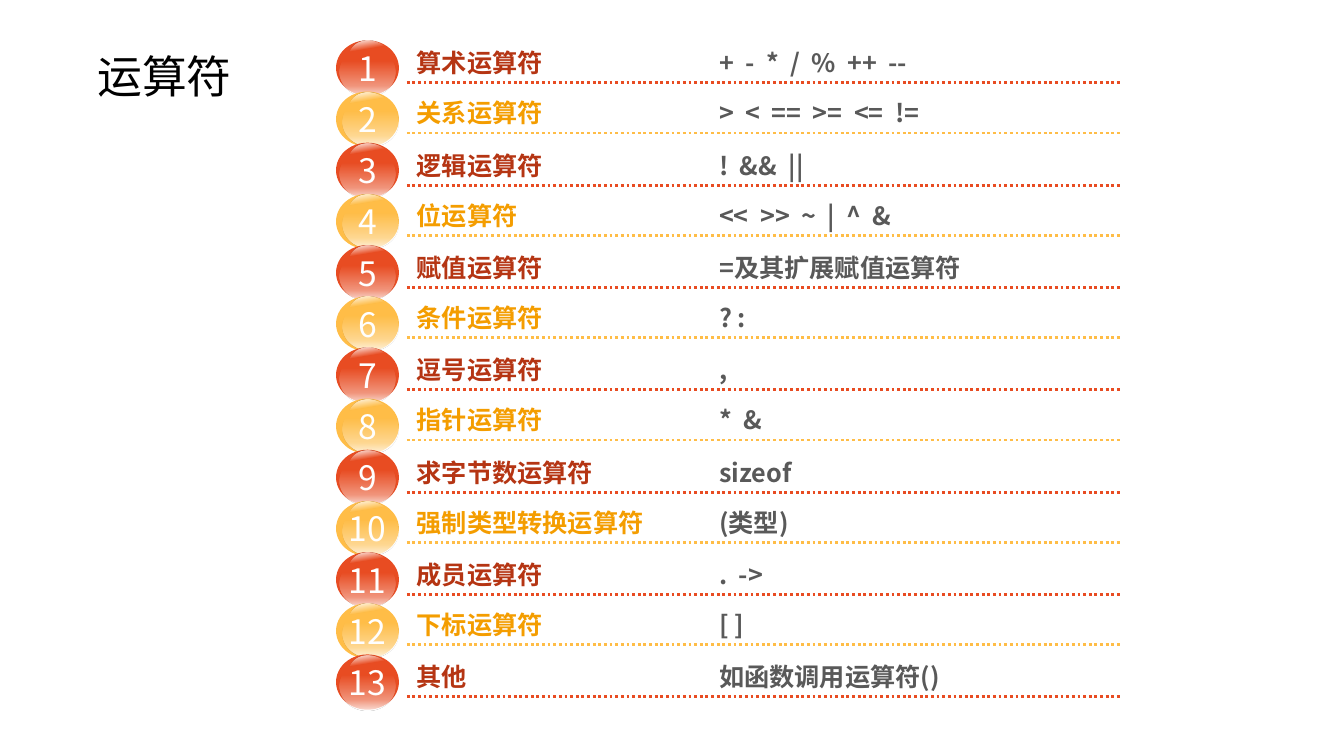
from lxml import etree
from pptx import Presentation, util as u
from pptx.dml.color import RGBColor
from pptx.enum import dml, shapes, text
from pptx.oxml import parse_xml
from pptx.oxml.ns import nsdecls, qn

FONT = "Noto Sans CJK SC"
COLORS = {
    "title": "000000", "white": "FFFFFF", "symbols": "595959",
    "red": "E84C22", "red_text": "B53513",
    "gold": "FFBD47", "gold_text": "F49D00",
}
GRID_COLUMNS, GRID_ROWS = 40, 75
GLOSS_STOPS = [(0, 0), (16, 88), (30, 0)]
SHADE_STOPS = [(28, 0), (78, 41), (98, 79)]
OPERATORS = [
    ("算术运算符", "+  -  *  /  %  ++  --"),
    ("关系运算符", ">  <  ==  >=  <=  !="),
    ("逻辑运算符", "!  &&  ||"),
    ("位运算符", "<<  >>  ~  |  ^  &"),
    ("赋值运算符", "=及其扩展赋值运算符"),
    ("条件运算符", "? :"),
    ("逗号运算符", ","),
    ("指针运算符", "*  &"),
    ("求字节数运算符", "sizeof"),
    ("强制类型转换运算符", "(类型)"),
    ("成员运算符", ".  ->"),
    ("下标运算符", "[ ]"),
    ("其他", "如函数调用运算符()"),
]


def color(name):
    """Return the named colour."""
    return RGBColor.from_string(COLORS[name])


def inside(box, left, top, width, height):
    """Return the part of a box given by shares of its size."""
    x, y, w, h = box
    return (u.Emu(int(x + left * w)), u.Emu(int(y + top * h)),
            u.Emu(int(width * w)), u.Emu(int(height * h)))


def add_span(para, words, size, shade, bold=False):
    """Add one styled run to a paragraph."""
    span = para.add_run()
    span.text = words
    span.font.size = u.Pt(size)
    span.font.bold = bold
    span.font.name = FONT
    span.font.color.rgb = color(shade)
    etree.SubElement(span.font._element, qn("a:ea"), typeface=FONT)


def add_text(parent, box, anchor):
    """Add a wrapping text box and return its first paragraph."""
    frame = parent.add_textbox(*box).text_frame
    frame.word_wrap = True
    frame.vertical_anchor = anchor
    return frame.paragraphs[0]


def add_ellipse(parent, box):
    """Add an ellipse without outline or shadow."""
    ellipse = parent.add_shape(shapes.MSO_SHAPE.OVAL, *box)
    ellipse.shadow.inherit = False
    ellipse.line.fill.background()
    return ellipse


def add_glow(parent, box, stops, angle, rotation=0):
    """Add an ellipse of white light that fades by the given stops."""
    glow = add_ellipse(parent, box)
    glow.rotation = rotation
    glow.fill.background()
    marks = "".join(
        f'<a:gs pos="{place * 1000}"><a:srgbClr val="{COLORS["white"]}">'
        f'<a:alpha val="{alpha * 1000}"/></a:srgbClr></a:gs>'
        for place, alpha in stops)
    gradient = parse_xml(
        f'<a:gradFill {nsdecls("a")} rotWithShape="1"><a:gsLst>{marks}</a:gsLst>'
        f'<a:lin ang="{angle * 60000}" scaled="0"/></a:gradFill>')
    properties = glow._element.spPr
    properties.replace(properties.find(qn("a:noFill")), gradient)


def add_ball(parent, box, number, hue, shift):
    """Draw a glossy numbered ball at the left of a row."""
    ball = add_ellipse(parent, inside(box, 0, 0, 0.08, 1.08))
    ball.fill.solid()
    ball.fill.fore_color.rgb = color(hue)
    frame = ball.text_frame
    frame.margin_left = frame.margin_right = 0
    frame.word_wrap = False
    frame.vertical_anchor = text.MSO_ANCHOR.MIDDLE
    para = frame.paragraphs[0]
    para.alignment = text.PP_ALIGN.CENTER
    add_span(para, str(number), 24, "white")
    add_glow(parent, inside(box, 0.014, 0.05, 0.065, 0.81), GLOSS_STOPS, 45, 35.7)
    add_glow(parent, inside(box, 0.005 + shift / 5, 0.14 - shift, 0.07, 0.95),
             SHADE_STOPS, 90)


def add_rule(parent, box, hue, shift):
    """Draw the dotted rule under a row."""
    left, top, width, _ = inside(box, 0.09, 0.83 - shift, 0.91, 0)
    rule = parent.add_connector(shapes.MSO_CONNECTOR.STRAIGHT,
                                left, top, left + width, top)
    rule.line.color.rgb = color(hue)
    rule.line.width = u.Pt(2)
    rule.line.dash_style = dml.MSO_LINE.ROUND_DOT
    etree.SubElement(rule._element.spPr, qn("a:effectLst"))


def add_row(page, box, number, name, symbols):
    """Draw one operator row: ball, dotted rule and two text columns."""
    hue, shift = ("red", 0) if number % 2 else ("gold", 0.02)
    parts = page.shapes.add_group_shape().shapes
    add_rule(parts, box, hue, shift)
    add_ball(parts, box, number, hue, shift)
    para = add_text(parts, inside(box, 0.09, 0.09 - shift, 0.8, 0.74),
                    text.MSO_ANCHOR.BOTTOM)
    stops = etree.SubElement(para._p.get_or_add_pPr(), qn("a:tabLst"))
    etree.SubElement(stops, qn("a:tab"), pos=str(u.Inches(3)), algn="l")
    add_span(para, name + "\t", 18, hue + "_text", True)
    add_span(para, symbols, 18, "symbols", True)


def add_list(page, box):
    """Stack the operator rows evenly in a box."""
    share = 1 / len(OPERATORS)
    for index, (name, symbols) in enumerate(OPERATORS):
        add_row(page, inside(box, 0, index * share, 1, share),
                index + 1, name, symbols)


def add_title(page, box):
    """Write the slide title."""
    para = add_text(page.shapes, box, text.MSO_ANCHOR.MIDDLE)
    para.line_spacing = 0.9
    add_span(para, "运算符", 32, "title")


def main():
    """Build and save the slide."""
    deck = Presentation()
    deck.slide_width, deck.slide_height = u.Inches(13.33), u.Inches(7.5)
    column, row = deck.slide_width / GRID_COLUMNS, deck.slide_height / GRID_ROWS
    page = deck.slides.add_slide(deck.slide_layouts[6])
    grid = (0, 0, column, row)
    add_title(page, inside(grid, 2.6, 3.4, 6.8, 8.9))
    add_list(page, inside(grid, 10, 4, 23.4, 66))
    deck.save("out.pptx")


if __name__ == "__main__":
    main()
